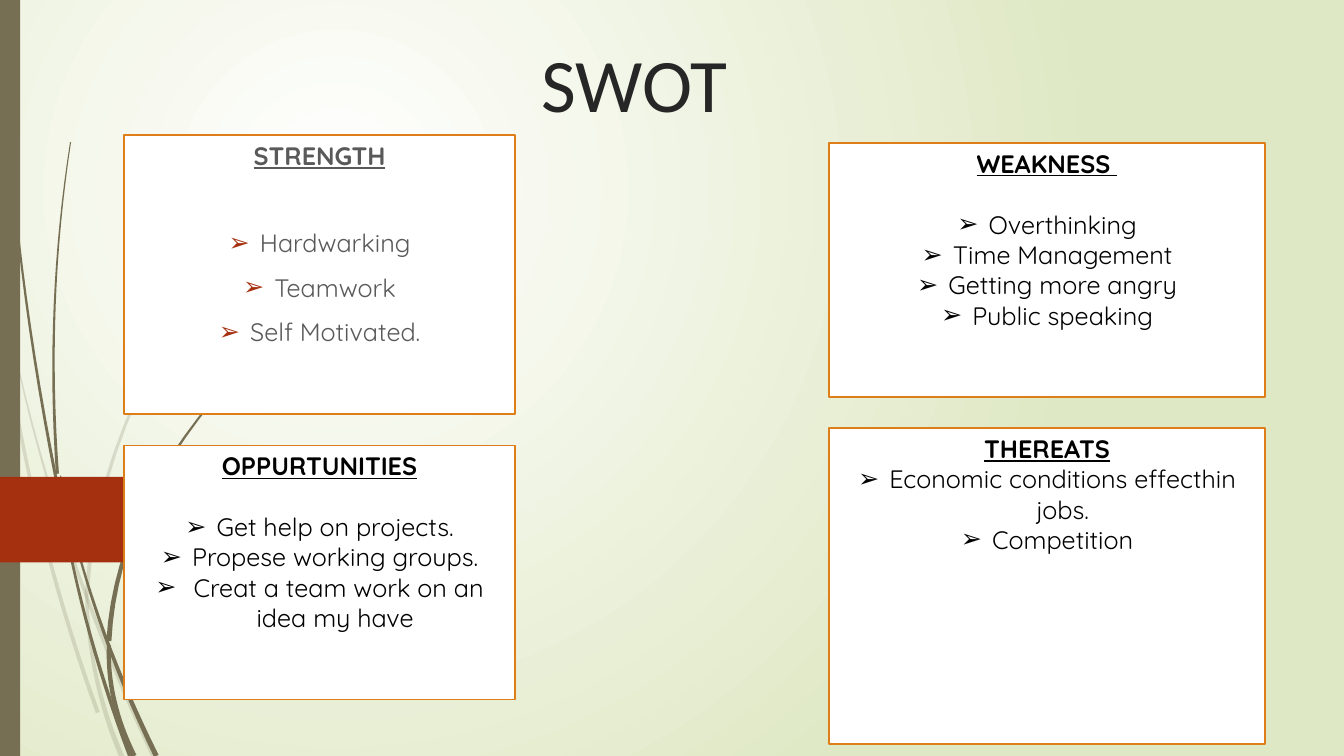
from dataclasses import dataclass
from math import hypot

from lxml.etree import SubElement
from pptx import Presentation
from pptx.dml.color import RGBColor
from pptx.enum.shapes import MSO_SHAPE as Preset
from pptx.enum.text import MSO_ANCHOR as Anchor, MSO_AUTO_SIZE as AutoSize, PP_ALIGN as Align
from pptx.oxml import parse_xml
from pptx.oxml.ns import nsdecls, qn
from pptx.util import Pt

PX = 9144
OLIVE, RUST, ORANGE, LIME = "766F54", "A53010", "DE7E18", "DFE8C4"
WHITE, BLACK, GREY, CHARCOAL = "FFFFFF", "000000", "595959", "262626"
LEFT_COLUMN, LEFT_WIDTH = 123, 388
RIGHT_COLUMN, RIGHT_WIDTH = 822, 433
HANGING_INDENT = 31
BLADE_STEPS = 16


@dataclass
class Blade:
    root: tuple
    bend: tuple
    tip: tuple
    root_width: int
    tip_width: int

    def edge_points(self, share):
        rest = 1 - share
        x, y = (rest * rest * a + 2 * rest * share * b + share * share * c
                for a, b, c in zip(self.root, self.bend, self.tip))
        slope_x, slope_y = (rest * (b - a) + share * (c - b)
                            for a, b, c in zip(self.root, self.bend, self.tip))
        half = (rest * self.root_width + share * self.tip_width) / 2
        reach = half / hypot(slope_x, slope_y)
        shift_x, shift_y = -slope_y * reach, slope_x * reach
        return (x + shift_x, y + shift_y), (x - shift_x, y - shift_y)

    def outline(self):
        steps = range(BLADE_STEPS + 1)
        left, right = zip(*(self.edge_points(step / BLADE_STEPS) for step in steps))
        return left + right[::-1]


PALE_GRASS = [
    Blade(root=(97, 707), bend=(22, 500), tip=(0, 290), root_width=4, tip_width=3),
    Blade(root=(153, 751), bend=(57, 548), tip=(14, 345), root_width=5, tip_width=1),
    Blade(root=(86, 590), bend=(101, 359), tip=(312, 153), root_width=4, tip_width=1),
    Blade(root=(121, 751), bend=(88, 675), tip=(86, 590), root_width=5, tip_width=3),
]
DARK_GRASS = [
    Blade(root=(56, 477), bend=(7, 232), tip=(3, 0), root_width=3, tip_width=1),
    Blade(root=(129, 750), bend=(77, 614), tip=(57, 477), root_width=4, tip_width=2),
    Blade(root=(155, 750), bend=(87, 611), tip=(60, 472), root_width=5, tip_width=1),
    Blade(root=(57, 470), bend=(45, 302), tip=(70, 141), root_width=3, tip_width=1),
    Blade(root=(108, 636), bend=(116, 486), tip=(260, 344), root_width=5, tip_width=1),
    Blade(root=(133, 750), bend=(106, 695), tip=(108, 640), root_width=5, tip_width=4),
]


def rgb(color):
    return RGBColor.from_string(color)


def emu(lengths):
    return [PX * length for length in lengths]


class SwotSlide:
    body_font, title_font = "Quicksand", "Calibri"
    text_size, title_size = 18, 54

    def __init__(self, deck):
        self.page = deck.slides.add_slide(deck.slide_layouts[0])
        self.shapes = self.page.shapes

    def background(self, inner, outer):
        fill = self.page.background.fill
        fill.gradient()
        for stop, color in zip(fill.gradient_stops, (inner, outer)):
            stop.color.rgb = rgb(color)
        gradient = self.page.background._cSld.find(".//" + qn("a:gradFill"))
        gradient.remove(gradient.find(qn("a:lin")))
        gradient.append(parse_xml(
            f'<a:path {nsdecls("a")} path="circle">'
            '<a:fillToRect l="50000" t="50000" r="100000" b="100000"/></a:path>'))

    def paint(self, shape, color, opacity=100):
        shape.shadow.inherit = False
        shape.fill.solid()
        shape.fill.fore_color.rgb = rgb(color)
        shape.line.fill.background()
        if opacity < 100:
            tint = shape.element.spPr.find(".//" + qn("a:srgbClr"))
            SubElement(tint, qn("a:alpha"), val=str(opacity * 1000))

    def grass(self, blades, opacity=100):
        for blade in blades:
            first, *others = [emu(point) for point in blade.outline()]
            builder = self.shapes.build_freeform(*first)
            builder.add_line_segments(others, close=True)
            self.paint(builder.convert_to_shape(), OLIVE, opacity)

    def block(self, area, color, preset=Preset.RECTANGLE):
        box = self.shapes.add_shape(preset, *emu(area))
        self.paint(box, color)
        return box

    def place(self, holder, area):
        holder.left, holder.top, holder.width, holder.height = emu(area)
        holder.element.getparent().append(holder.element)
        return holder

    def frame(self, shape, anchor):
        frame = shape.text_frame
        frame.word_wrap = True
        frame.auto_size = AutoSize.NONE
        frame.vertical_anchor = anchor
        return frame

    def style(self, para, name, size, color, align, before=0, heading=False):
        para.alignment = align
        para.space_before = Pt(before)
        font = para.font
        font.name, font.size = name, Pt(size)
        font.bold = font.underline = heading
        font.color.rgb = rgb(color)

    def title(self, text, area, inset):
        frame = self.frame(self.place(self.shapes.title, area), Anchor.BOTTOM)
        frame.margin_left = PX * inset
        frame.text = text
        self.style(frame.paragraphs[0], self.title_font, self.title_size, CHARCOAL, Align.LEFT)

    def bullet(self, para, color):
        properties = para._p.get_or_add_pPr()
        properties.set("marL", str(PX * HANGING_INDENT))
        properties.set("indent", str(-PX * HANGING_INDENT))
        SubElement(SubElement(properties, qn("a:buClr")), qn("a:srgbClr"), val=color)
        SubElement(properties, qn("a:buFont"), typeface="Arial")
        SubElement(properties, qn("a:buChar"), char="➢")

    def panel(self, box, heading, items, gap=0, spacing=0, color=BLACK, bullet_color=BLACK):
        self.paint(box, WHITE)
        box.line.color.rgb = rgb(ORANGE)
        box.line.width = Pt(1.25)
        frame = self.frame(box, Anchor.TOP)
        frame.text = heading
        self.style(frame.paragraphs[0], self.body_font, self.text_size, color, Align.CENTER,
                   spacing, heading=True)
        for index, item in enumerate(items):
            para = frame.add_paragraph()
            para.text = item
            self.bullet(para, bullet_color)
            before = spacing if index else spacing + gap
            self.style(para, self.body_font, self.text_size, color, Align.CENTER, before)


def main():
    deck = Presentation()
    deck.slide_width, deck.slide_height = emu((1333, 750))
    slide = SwotSlide(deck)
    slide.background(WHITE, LIME)
    slide.grass(PALE_GRASS, opacity=20)
    slide.grass(DARK_GRASS)
    slide.block((0, 0, 20, 750), OLIVE)
    slide.block((0, 473, 191, 85), RUST, Preset.PENTAGON)

    slide.title("SWOT", (171, -115, 975, 247), inset=366)
    strength = slide.place(slide.page.placeholders[1], (LEFT_COLUMN, 134, LEFT_WIDTH, 277))
    slide.panel(strength, "STRENGTH", ["Hardwarking", "Teamwork", "Self Motivated."],
                gap=31, spacing=10, color=GREY, bullet_color=RUST)
    for area, heading, gap, items in [
        ((RIGHT_COLUMN, 142, RIGHT_WIDTH, 252), "WEAKNESS ", 22,
         ["Overthinking", "Time Management", "Getting more angry", "Public speaking"]),
        ((LEFT_COLUMN, 442, LEFT_WIDTH, 252), "OPPURTUNITIES", 22,
         ["Get help on projects.", "Propese working groups.",
          " Creat a team work on an idea my have"]),
        ((RIGHT_COLUMN, 425, RIGHT_WIDTH, 313), "THEREATS", 0,
         ["Economic conditions effecthin jobs.", "Competition"]),
    ]:
        slide.panel(slide.block(area, WHITE), heading, items, gap)
    deck.save("out.pptx")


if __name__ == "__main__":
    main()
